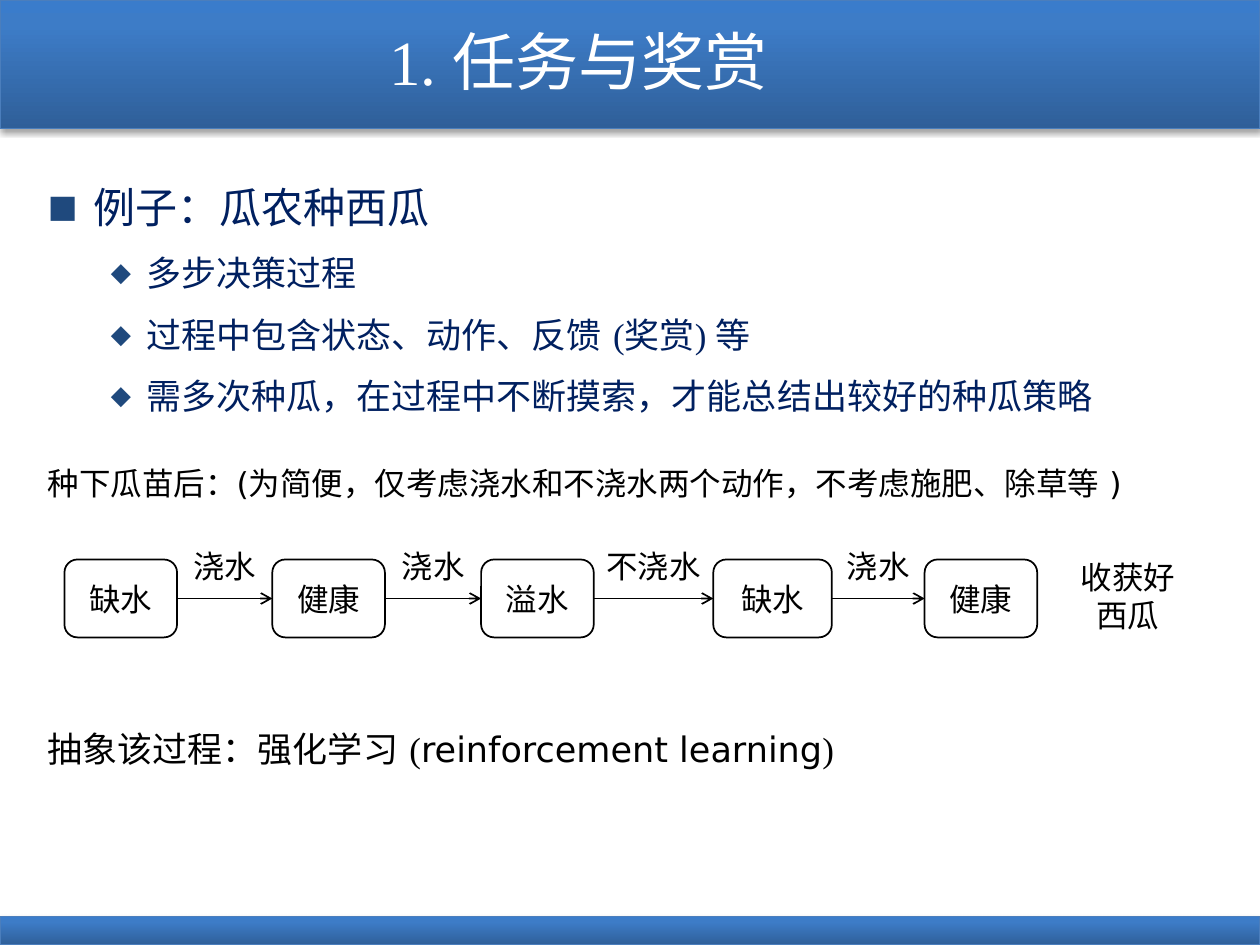
from lxml import etree
from pptx import Presentation
from pptx import util as u
from pptx.dml.color import RGBColor
from pptx.enum import shapes, text
from pptx.oxml import parse_xml
from pptx.oxml.ns import nsdecls, qn

# Content
TITLE = "1. 任务与奖赏"
BULLETS = [
    (0, "例子：瓜农种西瓜"),
    (1, "多步决策过程"),
    (1, "过程中包含状态、动作、反馈 (奖赏) 等"),
    (1, "需多次种瓜，在过程中不断摸索，才能总结出较好的种瓜策略"),
]
# level: character, left margin cm, hanging cm, text size
BULLET_STYLES = {0: ("■", 0.92, 0.92, 24), 1: ("◆", 1.98, 0.71, 20)}
# state, left cm, width cm
STATES = [("缺水", 1.3, 2.27), ("健康", 5.49, 2.27), ("溢水", 9.7, 2.27),
          ("缺水", 14.38, 2.39), ("健康", 18.64, 2.27)]
ACTIONS = ["浇水", "浇水", "不浇水", "浇水"]
SERIF, SANS, CJK = "Times New Roman", "DejaVu Sans", "Noto Sans CJK SC"
# runs, left, top, width, height in cm, size, centred
NOTES = [
    ([("种下瓜苗后：(为简便，仅考虑浇水和不浇水两个动作，不考虑施肥、除草等 )", SANS)],
     (0.71, 9.22, 22.25, 1.02), 18, False),
    ([("收获好西瓜", SANS)], (21.29, 11.13, 2.9, 1.8), 18, True),
    ([("抽象该过程：强化学习 ", CJK), ("(", SERIF),
      ("reinforcement learning", SANS), (")", SERIF)],
     (0.71, 14.55, 22.25, 1.12), 20, False),
]
BARS = [(0, 2.59), (18.47, 0.58)]  # top, height cm
STATE_TOP, STATE_HEIGHT, ACTION_TOP = 11.28, 1.57, 10.9


def rgb(value):
    return RGBColor.from_string(value)


def place(shape, left, top, width, height):
    shape.left, shape.top = u.Cm(left), u.Cm(top)
    shape.width, shape.height = u.Cm(width), u.Cm(height)


def add_span(para, words, size, font=SERIF, color="000000"):
    span = para.add_run()
    span.text = words
    span.font.size, span.font.name = u.Pt(size), font
    span.font.color.rgb = rgb(color)
    east = etree.SubElement(span.font._element, qn("a:ea"))
    east.set("typeface", SANS)


def add_text(page, spans, area, size, centred):
    box = page.shapes.add_textbox(*map(u.Cm, area))
    box.text_frame.word_wrap = True
    para = box.text_frame.paragraphs[0]
    para.alignment = text.PP_ALIGN.CENTER if centred else text.PP_ALIGN.LEFT
    for words, font in spans:
        add_span(para, words, size, font)


def add_bar(page, top, height):
    bar = page.shapes.add_shape(shapes.MSO_SHAPE.RECTANGLE, 0, u.Cm(top), u.Cm(25.4), u.Cm(height))
    bar.line.color.rgb, bar.line.width = rgb("4B7EBC"), u.Pt(0.75)
    stops = "".join(f'<a:gs pos="{pos}000"><a:srgbClr val="{color}"/></a:gs>'
                    for pos, color in [(0, "2F5F99"), (80, "3D7CC7"), (100, "3A7CCB")])
    bar.element.spPr.find(qn("a:prstGeom")).addnext(parse_xml(
        f'<a:gradFill {nsdecls("a")} rotWithShape="1"><a:gsLst>{stops}</a:gsLst>'
        '<a:lin ang="16200000" scaled="0"/></a:gradFill>'))
    bar.element.spPr.append(parse_xml(
        f'<a:effectLst {nsdecls("a")}><a:outerShdw blurRad="39400" dist="22900" dir="5400000" '
        'rotWithShape="0"><a:srgbClr val="000000"><a:alpha val="35000"/></a:srgbClr>'
        '</a:outerShdw></a:effectLst>'))
    page.shapes.title.element.addprevious(bar.element)  # behind the title


def add_bullet(para, level, words):
    mark, margin, hanging, size = BULLET_STYLES[level]
    para.level, para.line_spacing = level, 1.3
    props = para._p.get_or_add_pPr()
    props.set("marL", str(u.Cm(margin)))
    props.set("indent", str(-u.Cm(hanging)))
    for xml in ('<a:buClr {}><a:srgbClr val="1F497D"/></a:buClr>',
                '<a:buSzPct {} val="75000"/>',
                '<a:buFont {} typeface="DejaVu Sans"/>',
                f'<a:buChar {{}} char="{mark}"/>'):
        props.append(parse_xml(xml.format(nsdecls("a"))))
    add_span(para, words, size, color="002060")


def add_state(page, words, left, width):
    box = page.shapes.add_shape(shapes.MSO_SHAPE.ROUNDED_RECTANGLE, u.Cm(left), u.Cm(STATE_TOP),
                                u.Cm(width), u.Cm(STATE_HEIGHT))
    box.shadow.inherit = False
    box.fill.background()
    box.line.color.rgb, box.line.width = rgb("000000"), u.Pt(1)
    box.text_frame.vertical_anchor = text.MSO_ANCHOR.MIDDLE
    para = box.text_frame.paragraphs[0]
    para.alignment = text.PP_ALIGN.CENTER
    add_span(para, words, 18)
    return box


def add_arrow(page, start, end):
    arrow = page.shapes.add_connector(shapes.MSO_CONNECTOR.STRAIGHT, 0, 0, 0, 0)
    arrow.begin_connect(start, 3)
    arrow.end_connect(end, 1)
    arrow.line.color.rgb, arrow.line.width = rgb("000000"), u.Pt(1)
    etree.SubElement(arrow.line._get_or_add_ln(), qn("a:tailEnd")).set("type", "arrow")
    etree.SubElement(arrow.element.spPr, qn("a:effectLst"))


def main():
    deck = Presentation()
    deck.slide_width, deck.slide_height = u.Cm(25.4), u.Cm(19.05)
    page = deck.slides.add_slide(deck.slide_layouts[1])

    # Header and footer bars
    for top, height in BARS:
        add_bar(page, top, height)

    # Title
    title = page.shapes.title
    place(title, 0.71, 0.13, 21.9, 2.16)
    title.text_frame.vertical_anchor = text.MSO_ANCHOR.MIDDLE
    para = title.text_frame.paragraphs[0]
    para.alignment = text.PP_ALIGN.CENTER
    add_span(para, TITLE, 36, color="FFFFFF")

    # Bulleted list
    body = page.placeholders[1]
    place(body, 0.71, 3.23, 23.93, 15.49)
    frame = body.text_frame
    frame.auto_size = text.MSO_AUTO_SIZE.NONE
    for index, (level, words) in enumerate(BULLETS):
        para = frame.add_paragraph() if index else frame.paragraphs[0]
        para.space_before = u.Pt(4 if index else 0)
        add_bullet(para, level, words)

    # Chain of states, with an action over each arrow
    boxes = [add_state(page, *state) for state in STATES]
    for action, start, end in zip(ACTIONS, boxes, boxes[1:]):
        add_arrow(page, start, end)
        middle = u.Emu((start.left + start.width + end.left) // 2).cm
        width = 0.7 + 0.64 * len(action)
        add_text(page, [(action, SANS)], (middle - width / 2, ACTION_TOP, width, 1.02), 18, True)

    # Notes around the chain
    for note in NOTES:
        add_text(page, *note)

    deck.save("out.pptx")


if __name__ == "__main__":
    main()
